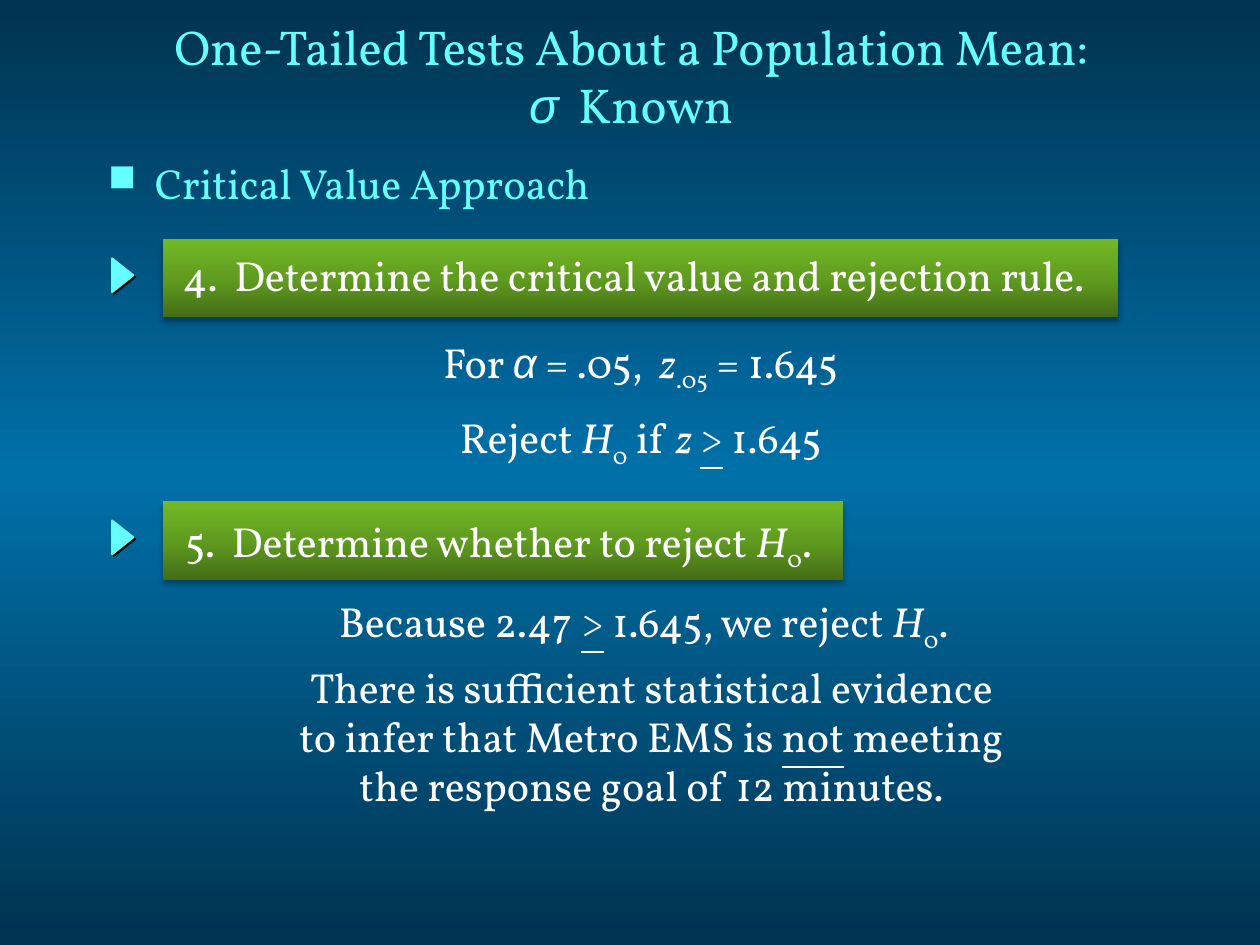
from copy import deepcopy
from dataclasses import dataclass

from lxml import etree
from pptx import Presentation
from pptx.dml.color import RGBColor
from pptx.enum.shapes import MSO_SHAPE
from pptx.enum.text import MSO_ANCHOR, MSO_AUTO_SIZE, PP_ALIGN
from pptx.oxml.ns import qn
from pptx.util import Inches, Pt

LEFT, CENTER = PP_ALIGN.LEFT, PP_ALIGN.CENTER
MIDDLE = MSO_ANCHOR.MIDDLE
NO_FIT, FIT_SHAPE = MSO_AUTO_SIZE.NONE, MSO_AUTO_SIZE.SHAPE_TO_FIT_TEXT
RECTANGLE, TRIANGLE = MSO_SHAPE.RECTANGLE, MSO_SHAPE.ISOSCELES_TRIANGLE

WHITE = RGBColor(0xFF, 0xFF, 0xFF)
CYAN = RGBColor(0x66, 0xFF, 0xFF)
NAVY = RGBColor(0x00, 0x33, 0x50)
BLUE = RGBColor(0x00, 0x70, 0xA8)
DARK_GREEN = RGBColor(0x44, 0x6D, 0x16)
GREEN = RGBColor(0x60, 0x9C, 0x20)
LIGHT_GREEN = RGBColor(0x72, 0xB9, 0x25)

BODY_FONT, GREEK_FONT = "Vollkorn", "Arial"
LINE_HEIGHT = 0.5


@dataclass(frozen=True)
class Piece:
    text: str
    italic: bool = False
    underline: bool = False
    subscript: bool = False
    font: str = BODY_FONT


@dataclass(frozen=True)
class TextLine:
    left: float
    top: float
    width: float
    pieces: tuple[Piece, ...]
    alignment: PP_ALIGN = LEFT


@dataclass(frozen=True)
class Step:
    top: float
    width: float
    heading: TextLine


def italic(text: str, font: str = BODY_FONT) -> Piece:
    return Piece(text, italic=True, font=font)


def underlined(text: str) -> Piece:
    return Piece(text, underline=True)


def subscript(text: str) -> Piece:
    return Piece(text, subscript=True)


NULL_HYPOTHESIS = (italic("H"), subscript("0"))

TITLE = (
    (Piece("One-Tailed Tests About a Population Mean:"),),
    (italic("σ", GREEK_FONT), Piece("  Known")),
)
APPROACH = TextLine(0.76, 1.2, 4.19, (Piece("Critical Value Approach"),))
STEPS = (
    Step(1.9, 7.58, TextLine(1.35, 1.93, 7.45, (
        Piece("4.  Determine the critical value and rejection rule."),))),
    Step(3.98, 5.4, TextLine(1.37, 4.04, 5.28, (
        Piece("5.  Determine whether to reject "), *NULL_HYPOTHESIS, Piece(".")))),
)
STATEMENTS = (
    TextLine(3.3, 2.62, 3.57, (
        Piece("For "), italic("α", GREEK_FONT), Piece(" = .05,  "), italic("z"),
        subscript(".05"), Piece(" = 1.645")), CENTER),
    TextLine(3.5, 3.22, 3.17, (
        Piece("Reject "), *NULL_HYPOTHESIS, Piece(" if "), italic("z "),
        underlined(">"), Piece(" 1.645")), CENTER),
    TextLine(2.59, 4.68, 5.18, (
        Piece("Because 2.47 "), underlined(">"), Piece(" 1.645, we reject "),
        *NULL_HYPOTHESIS, Piece("."))),
)
CONCLUSION = (
    (Piece("There is sufficient statistical evidence"),),
    (Piece("to infer that Metro EMS is "), underlined("not"), Piece(" meeting")),
    (Piece("the response goal of 12 minutes."),),
)


def set_gradient(fill, element, colors: tuple[RGBColor, ...], angle: int) -> None:
    fill.gradient()
    fill.gradient_angle = angle
    stop_list = next(element.iter(qn("a:gsLst")))
    while len(stop_list) < len(colors):
        stop_list.append(deepcopy(stop_list[0]))
    for index, (stop, color) in enumerate(zip(fill.gradient_stops, colors)):
        stop.color.rgb = color
        stop.position = index / (len(colors) - 1)


def add_shadow(shape, opacity: int, blur: float, distance: float, angle: int) -> None:
    shape.shadow.inherit = False
    effects = shape._element.spPr.find(qn("a:effectLst"))
    shadow = etree.SubElement(
        effects, qn("a:outerShdw"), blurRad=str(Pt(blur)), dist=str(Pt(distance)),
        dir=str(angle * 60000), algn="ctr", rotWithShape="0")
    color = etree.SubElement(shadow, qn("a:srgbClr"), val="000000")
    etree.SubElement(color, qn("a:alpha"), val=str(opacity * 1000))


def write_paragraph(paragraph, pieces: tuple[Piece, ...], size: int,
                    color: RGBColor, alignment: PP_ALIGN) -> None:
    paragraph.alignment = alignment
    paragraph.font.name = BODY_FONT
    paragraph.font.size = Pt(size)
    paragraph.font.color.rgb = color
    for piece in pieces:
        run = paragraph.add_run()
        run.text = piece.text
        if piece.font != BODY_FONT:
            run.font.name = piece.font
        if piece.italic:
            run.font.italic = True
        if piece.underline:
            run.font.underline = True
        if piece.subscript:
            run.font._element.set("baseline", "-25000")


def write_centered_lines(text_frame, lines: tuple[tuple[Piece, ...], ...],
                         size: int, color: RGBColor) -> None:
    text_frame.word_wrap = True
    text_frame.auto_size = NO_FIT
    for index, pieces in enumerate(lines):
        paragraph = text_frame.add_paragraph() if index else text_frame.paragraphs[0]
        write_paragraph(paragraph, pieces, size, color, CENTER)


def add_text_line(slide, line: TextLine, color: RGBColor = WHITE):
    box = slide.shapes.add_textbox(
        Inches(line.left), Inches(line.top), Inches(line.width), Inches(LINE_HEIGHT))
    box.text_frame.word_wrap = False
    box.text_frame.auto_size = FIT_SHAPE
    paragraph = box.text_frame.paragraphs[0]
    write_paragraph(paragraph, line.pieces, 24, color, line.alignment)
    return paragraph


def add_bullet(paragraph, character: str, percent: int, indent: float) -> None:
    properties = paragraph._p.get_or_add_pPr()
    properties.set("marL", str(Inches(indent)))
    properties.set("indent", str(-Inches(indent)))
    bullet_size = etree.Element(qn("a:buSzPct"), val=str(percent * 1000))
    bullet = etree.Element(qn("a:buChar"), char=character)
    properties.insert(0, bullet_size)
    properties.insert(1, bullet)


def add_step(slide, step: Step) -> None:
    banner = slide.shapes.add_shape(
        RECTANGLE, Inches(1.29), Inches(step.top), Inches(step.width), Inches(0.62))
    set_gradient(banner.fill, banner._element, (DARK_GREEN, GREEN, LIGHT_GREEN), 90)
    banner.line.fill.background()
    add_shadow(banner, 32, 3.5, 2.2, 90)

    marker = slide.shapes.add_shape(
        TRIANGLE, Inches(0.84), Inches(step.top + 0.2), Inches(0.27), Inches(0.17))
    marker.rotation = 90
    marker.fill.solid()
    marker.fill.fore_color.rgb = CYAN
    marker.line.color.rgb = CYAN
    marker.line.width = Pt(1)
    add_shadow(marker, 100, 0, 1.4, 45)

    add_text_line(slide, step.heading)


def main() -> None:
    presentation = Presentation()
    presentation.slide_width = Inches(10)
    presentation.slide_height = Inches(7.5)
    slide = presentation.slides.add_slide(presentation.slide_layouts[5])
    set_gradient(slide.background.fill, slide._element, (NAVY, BLUE, NAVY), 270)

    title = slide.shapes.title
    title.left, title.top = Inches(0.76), Inches(0.15)
    title.width, title.height = Inches(8.5), Inches(0.89)
    title.text_frame.vertical_anchor = MIDDLE
    write_centered_lines(title.text_frame, TITLE, 28, CYAN)

    add_bullet(add_text_line(slide, APPROACH, CYAN), "■", 90, 0.37)
    for step in STEPS:
        add_step(slide, step)
    for statement in STATEMENTS:
        add_text_line(slide, statement)

    conclusion = slide.shapes.add_textbox(
        Inches(2.11), Inches(5.28), Inches(6.12), Inches(1.27))
    write_centered_lines(conclusion.text_frame, CONCLUSION, 24, WHITE)
    for paragraph in conclusion.text_frame.paragraphs:
        paragraph.line_spacing = 0.8
        paragraph.space_before = Pt(4.8)

    presentation.save("out.pptx")


if __name__ == "__main__":
    main()
